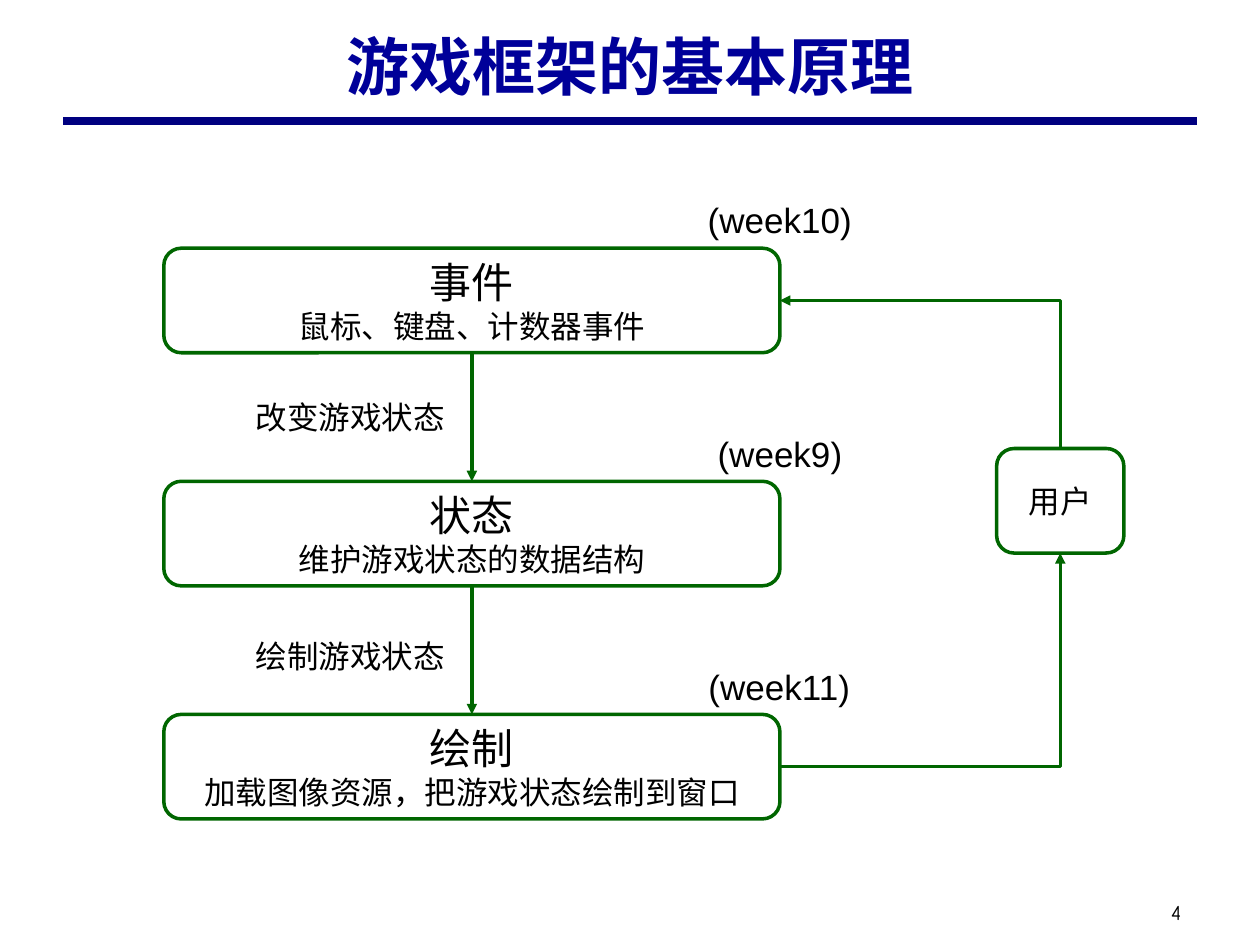
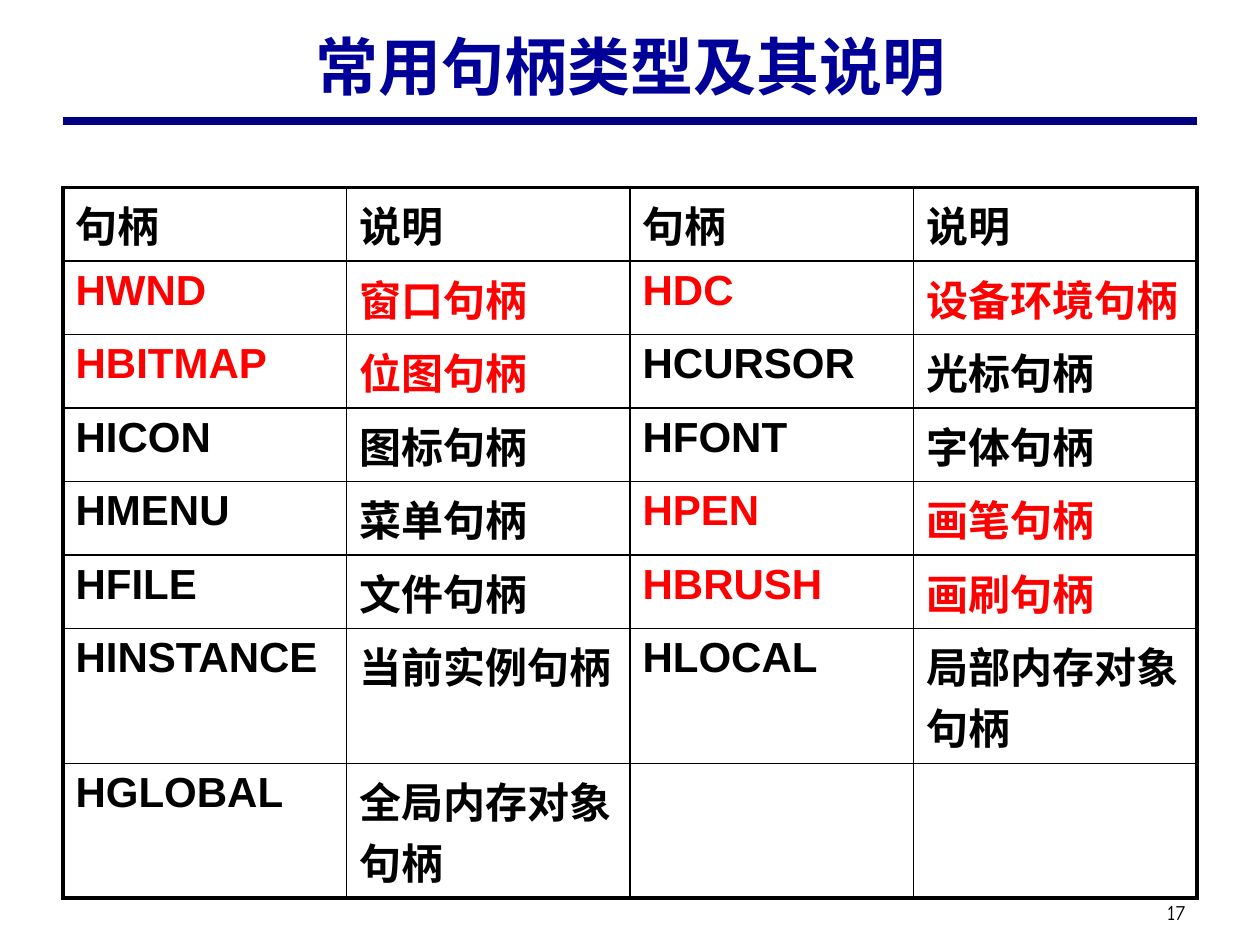
from lxml.etree import SubElement
from pptx import Presentation
from pptx.dml.color import RGBColor
from pptx.enum.shapes import MSO_CONNECTOR as LINE, MSO_SHAPE
from pptx.enum.text import MSO_ANCHOR, MSO_AUTO_SIZE as FIT, PP_ALIGN as ALIGN
from pptx.oxml.ns import qn
from pptx.util import Inches, Pt

hex_color = RGBColor.from_string
GREEN, BLACK, RED, TITLE_BLUE, RULE_BLUE = "006600", "000000", "FF0000", "000099", "000080"


def write(frame, lines, color=BLACK, font="Arial", align=ALIGN.CENTER, bold=False):
    frame.text = "\n".join(text for text, size in lines)
    for paragraph, (text, size) in zip(frame.paragraphs, lines):
        paragraph.alignment = align
        paragraph.font.name = font
        paragraph.font.size = Pt(size)
        paragraph.font.bold = bold
        paragraph.font.color.rgb = hex_color(color)


def draw_line(slide, kind, ends, color, width, arrow=None):
    line = slide.shapes.add_connector(kind, *[Inches(value) for value in ends])
    line.line.color.rgb = hex_color(color)
    line.line.width = Pt(width)
    properties = line._element.spPr
    if arrow:
        SubElement(properties.find(qn("a:ln")), qn(arrow), type="triangle")
    SubElement(properties, qn("a:effectLst"))
    return line


deck = Presentation()
deck.slide_width, deck.slide_height = Inches(10), Inches(7.5)

slides = []
for heading, page in [("游戏框架的基本原理", "4"), ("常用句柄类型及其说明", "17")]:
    slide = deck.slides.add_slide(deck.slide_layouts[5])
    slides.append(slide)
    draw_line(slide, LINE.STRAIGHT, (0.5, 0.96, 9.5, 0.96), RULE_BLUE, 4.5)

    title = slide.shapes.title
    title.left, title.top = Inches(0.75), Inches(0.09)
    title.width, title.height = Inches(8.5), Inches(0.86)
    title.text_frame.auto_size = FIT.NONE
    title.text_frame.vertical_anchor = MSO_ANCHOR.MIDDLE
    write(title.text_frame, [(heading, 36)], TITLE_BLUE, "Times New Roman", bold=True)

    number = slide.shapes.add_textbox(Inches(9.1), Inches(7.09), Inches(0.47), Inches(0.3)).text_frame
    number.margin_left = number.margin_right = Inches(0.05)
    number.vertical_anchor = MSO_ANCHOR.MIDDLE
    number.word_wrap = True
    write(number, [(page, 12)], font="Comic Neue")

framework, handles = slides

stages = []
for left, top, width, lines in [
    (1.3, 1.97, 4.89, [("事件", 24), ("鼠标、键盘、计数器事件", 18)]),
    (1.3, 3.82, 4.89, [("状态", 24), ("维护游戏状态的数据结构", 18)]),
    (1.3, 5.67, 4.89, [("绘制", 24), ("加载图像资源，把游戏状态绘制到窗口", 18)]),
    (7.91, 3.56, 1.01, [("用户", 18)]),
]:
    stage = framework.shapes.add_shape(
        MSO_SHAPE.ROUNDED_RECTANGLE, Inches(left), Inches(top), Inches(width), Inches(0.83))
    stage.shadow.inherit = False
    stage.fill.background()
    stage.line.color.rgb = hex_color(GREEN)
    stage.line.width = Pt(2)
    stage.text_frame.word_wrap = False
    stage.text_frame.vertical_anchor = MSO_ANCHOR.MIDDLE
    write(stage.text_frame, lines)
    stages.append(stage)

event, state, drawing, user = stages
for kind, source, source_side, target, target_side, arrow in [
    (LINE.STRAIGHT, event, 2, state, 0, "a:tailEnd"),
    (LINE.STRAIGHT, state, 2, drawing, 0, "a:tailEnd"),
    (LINE.ELBOW, event, 3, user, 0, "a:headEnd"),
    (LINE.ELBOW, drawing, 3, user, 2, "a:tailEnd"),
]:
    flow = draw_line(framework, kind, (0, 0, 0, 0), GREEN, 2, arrow)
    flow.begin_connect(source, source_side)
    flow.end_connect(target, target_side)
    if kind == LINE.ELBOW:
        flow._element.spPr.find(qn("a:prstGeom")).set("prst", "bentConnector2")

for text, left, top, width, height, size, align in [
    ("改变游戏状态", 1.93, 3.11, 1.72, 0.4, 18, ALIGN.LEFT),
    ("绘制游戏状态", 1.93, 5.01, 1.72, 0.4, 18, ALIGN.LEFT),
    ("(week10)", 5.51, 1.53, 1.36, 0.44, 20, ALIGN.CENTER),
    ("(week9)", 5.59, 3.38, 1.2, 0.44, 20, ALIGN.CENTER),
    ("(week11)", 5.52, 5.23, 1.33, 0.44, 20, ALIGN.CENTER),
]:
    label = framework.shapes.add_textbox(
        Inches(left), Inches(top), Inches(width), Inches(height)).text_frame
    label.word_wrap = False
    label.auto_size = FIT.SHAPE_TO_FIT_TEXT
    write(label, [(text, size)], align=align)

rows = [
    ("句柄", "说明", "句柄", "说明"),
    ("HWND", "窗口句柄", "HDC", "设备环境句柄"),
    ("HBITMAP", "位图句柄", "HCURSOR", "光标句柄"),
    ("HICON", "图标句柄", "HFONT", "字体句柄"),
    ("HMENU", "菜单句柄", "HPEN", "画笔句柄"),
    ("HFILE", "文件句柄", "HBRUSH", "画刷句柄"),
    ("HINSTANCE", "当前实例句柄", "HLOCAL", "局部内存对象句柄"),
    ("HGLOBAL", "全局内存对象句柄", "", ""),
]
highlighted = {"HWND", "HDC", "HBITMAP", "HPEN", "HBRUSH"}
last_row, last_column = len(rows) - 1, len(rows[0]) - 1
single_rows = 6

handle_table = handles.shapes.add_table(
    len(rows), len(rows[0]), Inches(0.5), Inches(1.49), Inches(9), Inches(5.64)).table
handle_table.first_row = handle_table.horz_banding = False

for r, row in enumerate(rows):
    handle_table.rows[r].height = Inches(3.5 / single_rows if r < single_rows else 1.07)
    for c, text in enumerate(row):
        cell = handle_table.cell(r, c)
        handle = row[c - c % 2]
        color = RED if handle in highlighted else BLACK
        if text:
            write(cell.text_frame, [(text, 24)], color, align=ALIGN.LEFT, bold=True)
        properties = cell._tc.get_or_add_tcPr()
        for side, outer in [("L", c == 0), ("R", c == last_column), ("T", r == 0), ("B", r == last_row)]:
            border = SubElement(properties, qn(f"a:ln{side}"), w=str(Pt(2.25 if outer else 1)))
            SubElement(SubElement(border, qn("a:solidFill")), qn("a:srgbClr"), val=BLACK)
        cell.fill.background()

deck.save("out.pptx")
